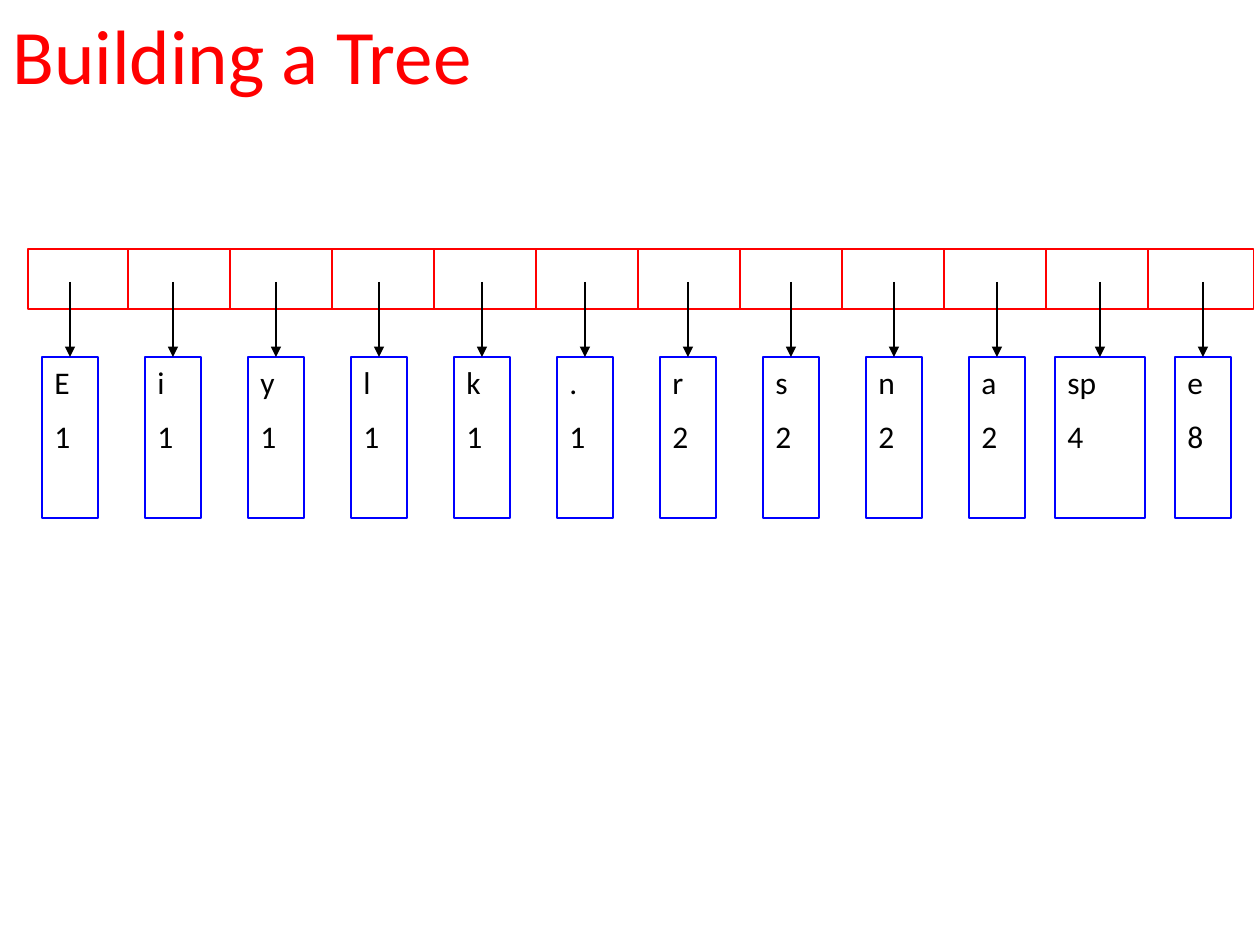
from pptx import Presentation
from pptx.dml.color import RGBColor
from pptx.enum.shapes import MSO_CONNECTOR as Connector, MSO_SHAPE as Shape
from pptx.enum.text import MSO_ANCHOR as Anchor, PP_ALIGN as Align
from pptx.oxml.ns import qn
from pptx.util import Emu, Pt
from lxml import etree

PX = 914400 // 126
FONT = "Calibri"
COLORS = {"red": "FF0000", "blue": "0000FF", "black": "000000", "white": "FFFFFF"}
NODES = [("E", 1), ("i", 1), ("y", 1), ("l", 1), ("k", 1), (".", 1),
         ("r", 2), ("s", 2), ("n", 2), ("a", 2), ("sp", 4), ("e", 8)]


def px(*lengths):
    return [Emu(length * PX) for length in lengths]


def color(name):
    return RGBColor.from_string(COLORS[name])


def add_text(paragraph, text, size, name):
    paragraph.alignment = Align.LEFT
    run = paragraph.add_run()
    run.text = text
    run.font.name = FONT
    run.font.size = Pt(size)
    run.font.color.rgb = color(name)


def add_rectangle(slide, box, line, fill=None):
    shape = slide.shapes.add_shape(Shape.RECTANGLE, *px(*box))
    shape.shadow.inherit = False
    if fill:
        shape.fill.solid()
        shape.fill.fore_color.rgb = color(fill)
    else:
        shape.fill.background()
    shape.line.color.rgb = color(line)
    shape.line.width = Pt(0.75)
    return shape


def add_vertical(slide, x, top, bottom, name):
    connector = slide.shapes.add_connector(Connector.STRAIGHT, *px(x, top, x, bottom))
    connector.line.color.rgb = color(name)
    connector.line.width = Pt(0.75)
    etree.SubElement(connector.element.spPr, qn("a:effectLst"))
    return connector


def add_title(slide, box, text):
    frame = slide.shapes.add_textbox(*px(*box)).text_frame
    frame.word_wrap = True
    frame.vertical_anchor = Anchor.MIDDLE
    add_text(frame.paragraphs[0], text, 44, "red")


def add_queue(slide, box, count, cell_width):
    left, top, width, height = box
    add_rectangle(slide, box, "red", "white")
    first_divider = 100
    for index in range(count - 1):
        add_vertical(slide, left + first_divider + index * cell_width,
                     top, top + height, "red")


def add_node(slide, box, symbol, frequency):
    node = add_rectangle(slide, box, "blue")
    frame = node.text_frame
    frame.word_wrap = True
    frame.vertical_anchor = Anchor.TOP
    add_text(frame.paragraphs[0], symbol, 18, "black")
    paragraph = frame.add_paragraph()
    paragraph.space_before = Pt(9)
    add_text(paragraph, str(frequency), 18, "black")
    return node


def add_nodes(slide, box, nodes, pitch, arrow_length):
    left, top, width, height = box
    for index, (symbol, frequency) in enumerate(nodes):
        center = left + width // 2 + index * pitch
        node_width = width if len(symbol) == 1 else 90
        node = add_node(slide, (center - node_width // 2, top, node_width, height),
                        symbol, frequency)
        arrow = add_vertical(slide, center, top - arrow_length, top, "black")
        arrow.end_connect(node, 0)
        line = arrow.line._get_or_add_ln()
        etree.SubElement(line, qn("a:tailEnd"), type="triangle")


def main():
    presentation = Presentation()
    presentation.slide_width, presentation.slide_height = px(1260, 945)
    slide = presentation.slides.add_slide(presentation.slide_layouts[6])
    add_title(slide, (0, -25, 1134, 157), "Building a Tree")
    add_queue(slide, (28, 249, 1226, 60), len(NODES), 102)
    add_nodes(slide, (42, 357, 56, 161), NODES, 103, 75)
    presentation.save("out.pptx")


if __name__ == "__main__":
    main()
